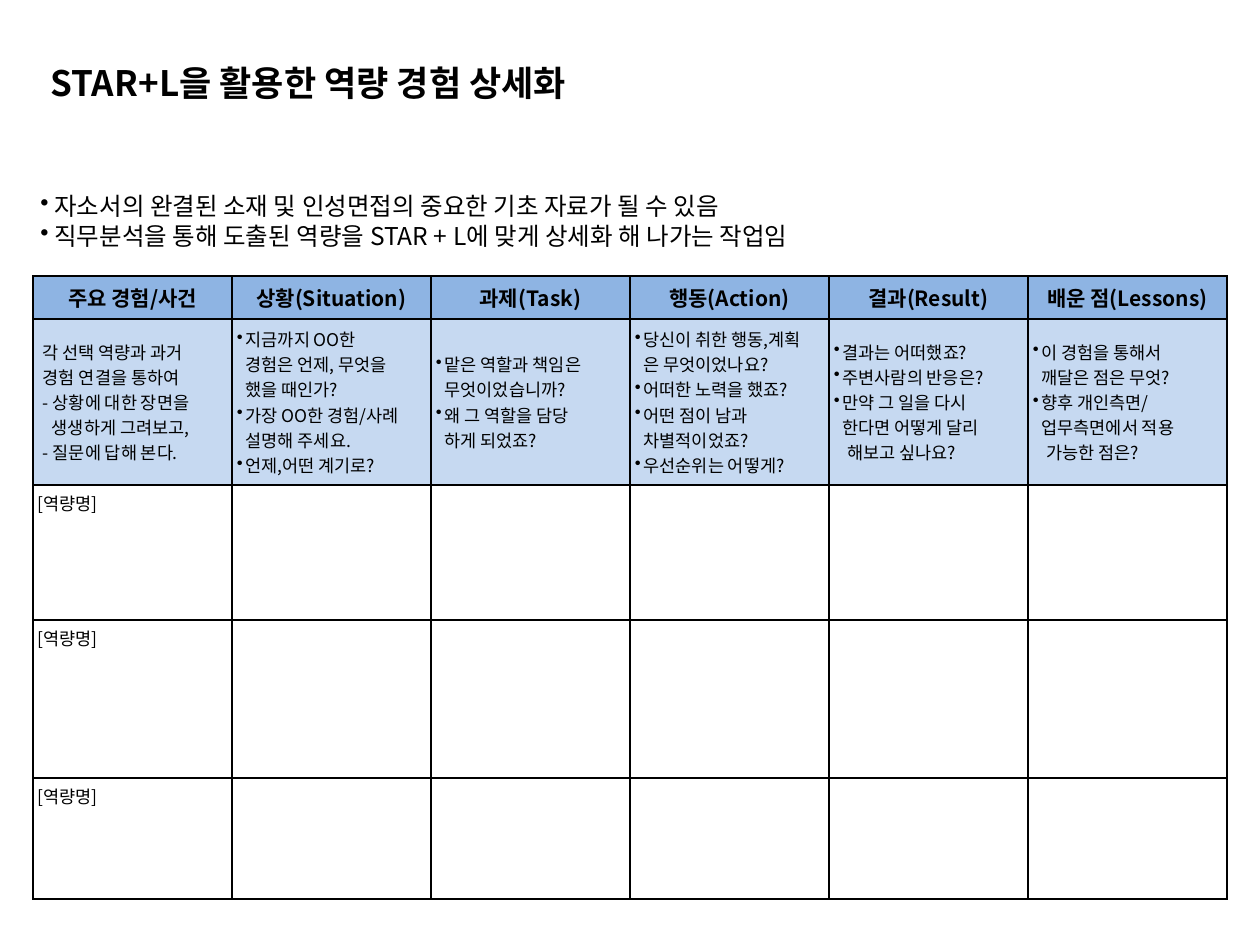
from lxml import etree
from pptx import Presentation
from pptx.dml.color import RGBColor
from pptx.enum import text
from pptx.oxml.ns import qn
from pptx.util import Emu, Pt

# Content: a leading bullet or ">" marks how a line is indented
TITLE = "STAR+L을 활용한 역량 경험 상세화"
INTRO = [
    "•자소서의 완결된 소재 및 인성면접의 중요한 기초 자료가 될 수 있음",
    "•직무분석을 통해 도출된 역량을 STAR + L에 맞게 상세화 해 나가는 작업임",
]
HEADINGS = ["주요 경험/사건", "상황(Situation)", "과제(Task)",
            "행동(Action)", "결과(Result)", "배운 점(Lessons)"]
QUESTIONS = [
    ["각 선택 역량과 과거", "경험 연결을 통하여", "- 상황에 대한 장면을",
     ">>생생하게 그려보고,", "- 질문에 답해 본다."],
    ["•지금까지 OO한", ">경험은 언제, 무엇을", ">했을 때인가?",
     "•가장 OO한 경험/사례", ">설명해 주세요.", "•언제,어떤 계기로?"],
    ["•맡은 역할과 책임은", ">무엇이었습니까?", "•왜 그 역할을 담당", ">하게 되었죠?"],
    ["•당신이 취한 행동,계획", ">은 무엇이었나요?", "•어떠한 노력을 했죠?",
     "•어떤 점이 남과", ">차별적이었죠?", "•우선순위는 어떻게?"],
    ["•결과는 어떠했죠?", "•주변사람의 반응은?", "•만약 그 일을 다시",
     ">한다면 어떻게 달리", ">>해보고 싶나요?"],
    ["•이 경험을 통해서", ">깨달은 점은 무엇?", "•향후 개인측면/",
     ">업무측면에서 적용", ">>가능한 점은?"],
]
ENTRY = ["[역량명]"]

# Layout in pixels
TITLE_BOX = (38, 55, 873, 55)
INTRO_BOX = (28, 185, 1191, 72)
TABLE_AT = (33, 276)
COLUMN_WIDTH = 199
ROW_HEIGHTS = [43, 166, 135, 158, 121]
CELL_INSET = 5

THEME = {
    "font": "Noto Sans CJK KR", "ink": "000000",
    "heading_fill": "8EB4E3", "question_fill": "C6D9F1",
    "title": 20, "intro": 14, "heading": 12, "cell": 10, "border": 1,
}


def px(value):
    return Emu(round(value * 914400 / 126))


def place(shape, area):
    shape.left, shape.top, shape.width, shape.height = map(px, area)


def write(frame, lines, size, bold=False, align=text.PP_ALIGN.LEFT, hang=9, plain=0):
    """Write one paragraph per line, with bullets and indents by its mark."""
    for number, line in enumerate(lines):
        para = frame.paragraphs[0] if number == 0 else frame.add_paragraph()
        para.text = line.lstrip("•>")
        para.alignment = align
        props = para._p.get_or_add_pPr()
        bullet = line.startswith("•")
        depth = len(line) - len(line.lstrip(">"))
        margin = hang if bullet else hang + 5 * (depth - 1) if depth else plain
        props.set("marL", str(px(margin)))
        props.set("indent", str(px(-hang if bullet else 0)))
        if bullet:
            etree.SubElement(props, qn("a:buChar"), char="•")
        para.font.size, para.font.bold = Pt(size), bold
        para.font.name = THEME["font"]
        para.font.color.rgb = RGBColor.from_string(THEME["ink"])
        etree.SubElement(props.find(qn("a:defRPr")), qn("a:ea"), typeface=THEME["font"])


def style_cell(cell, fill=None):
    cell.margin_left = cell.margin_right = px(CELL_INSET)
    cell.margin_top = cell.margin_bottom = px(CELL_INSET)
    props = cell._tc.get_or_add_tcPr()
    for side in ("lnL", "lnR", "lnT", "lnB"):
        line = etree.SubElement(props, qn(f"a:{side}"), w=str(Pt(THEME["border"])))
        solid = etree.SubElement(line, qn("a:solidFill"))
        etree.SubElement(solid, qn("a:srgbClr"), val=THEME["ink"])
    if fill:
        cell.vertical_anchor = text.MSO_ANCHOR.MIDDLE
        cell.fill.solid()
        cell.fill.fore_color.rgb = RGBColor.from_string(fill)
    else:
        cell.vertical_anchor = text.MSO_ANCHOR.TOP
        cell.fill.background()


deck = Presentation()
deck.slide_width, deck.slide_height = px(1260), px(945)
page = deck.slides.add_slide(deck.slide_layouts[5])

# Title
title = page.shapes.title
place(title, TITLE_BOX)
title.text_frame.vertical_anchor = text.MSO_ANCHOR.TOP
title.text_frame.auto_size = text.MSO_AUTO_SIZE.SHAPE_TO_FIT_TEXT
write(title.text_frame, [TITLE], THEME["title"], bold=True)

# Table
column_count = len(HEADINGS)
frame = page.shapes.add_table(
    len(ROW_HEIGHTS), column_count, *map(px, TABLE_AT),
    px(COLUMN_WIDTH * column_count), px(sum(ROW_HEIGHTS)))
table = frame.table
table.first_row = table.horz_banding = False
for column in table.columns:
    column.width = px(COLUMN_WIDTH)
for row, height in zip(table.rows, ROW_HEIGHTS):
    row.height = px(height)

for index, (heading, questions) in enumerate(zip(HEADINGS, QUESTIONS)):
    top, guide = table.cell(0, index), table.cell(1, index)
    style_cell(top, THEME["heading_fill"])
    write(top.text_frame, [heading], THEME["heading"], True, text.PP_ALIGN.CENTER)
    style_cell(guide, THEME["question_fill"])
    write(guide.text_frame, questions, THEME["cell"], plain=5)
    for row_index in range(2, len(ROW_HEIGHTS)):
        blank = table.cell(row_index, index)
        style_cell(blank)
        if index == 0:
            write(blank.text_frame, ENTRY, THEME["cell"])

# Introduction
intro = page.shapes.add_textbox(*map(px, INTRO_BOX))
intro.text_frame.word_wrap = True
intro.text_frame.auto_size = text.MSO_AUTO_SIZE.SHAPE_TO_FIT_TEXT
write(intro.text_frame, INTRO, THEME["intro"], hang=14)

deck.save("out.pptx")
